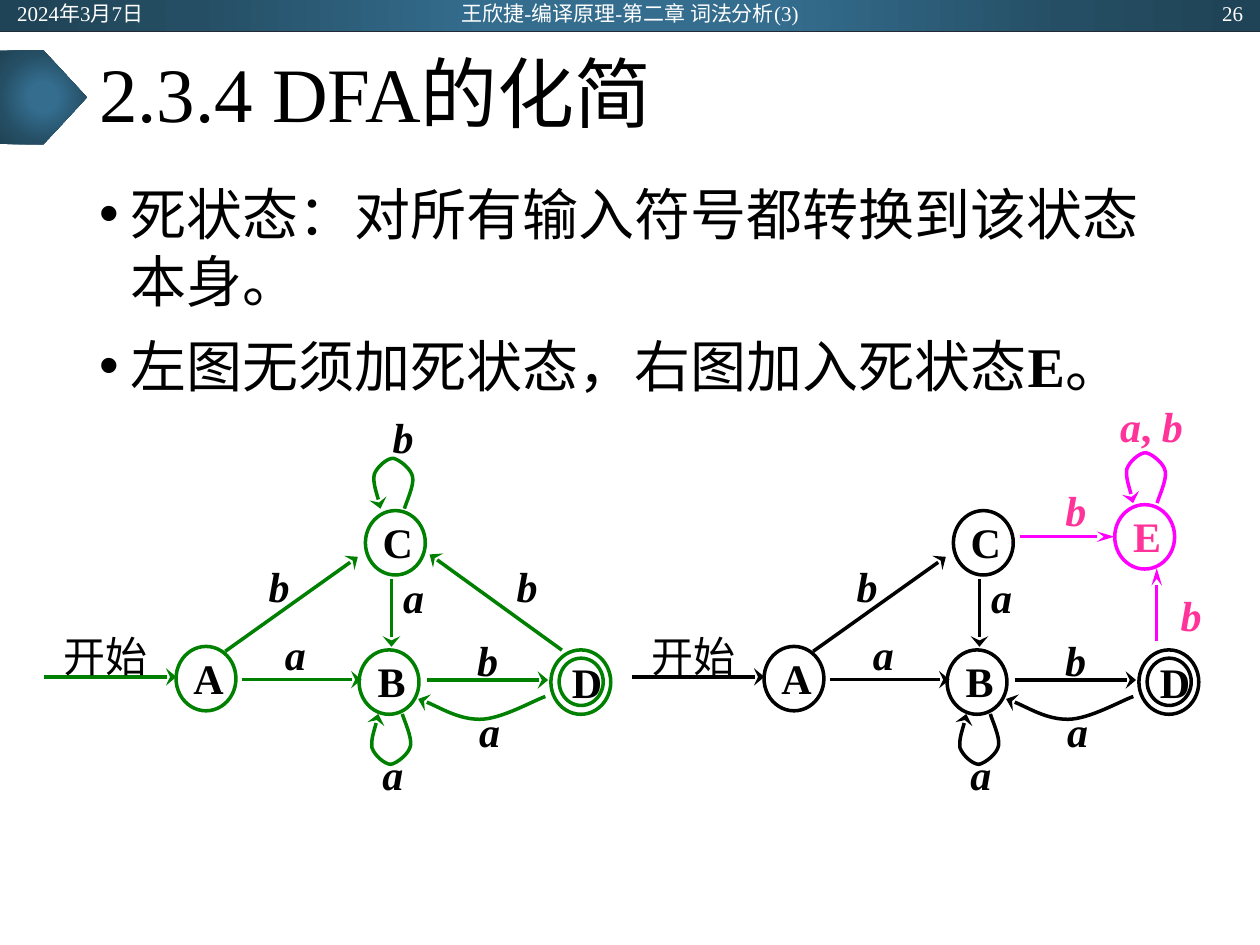
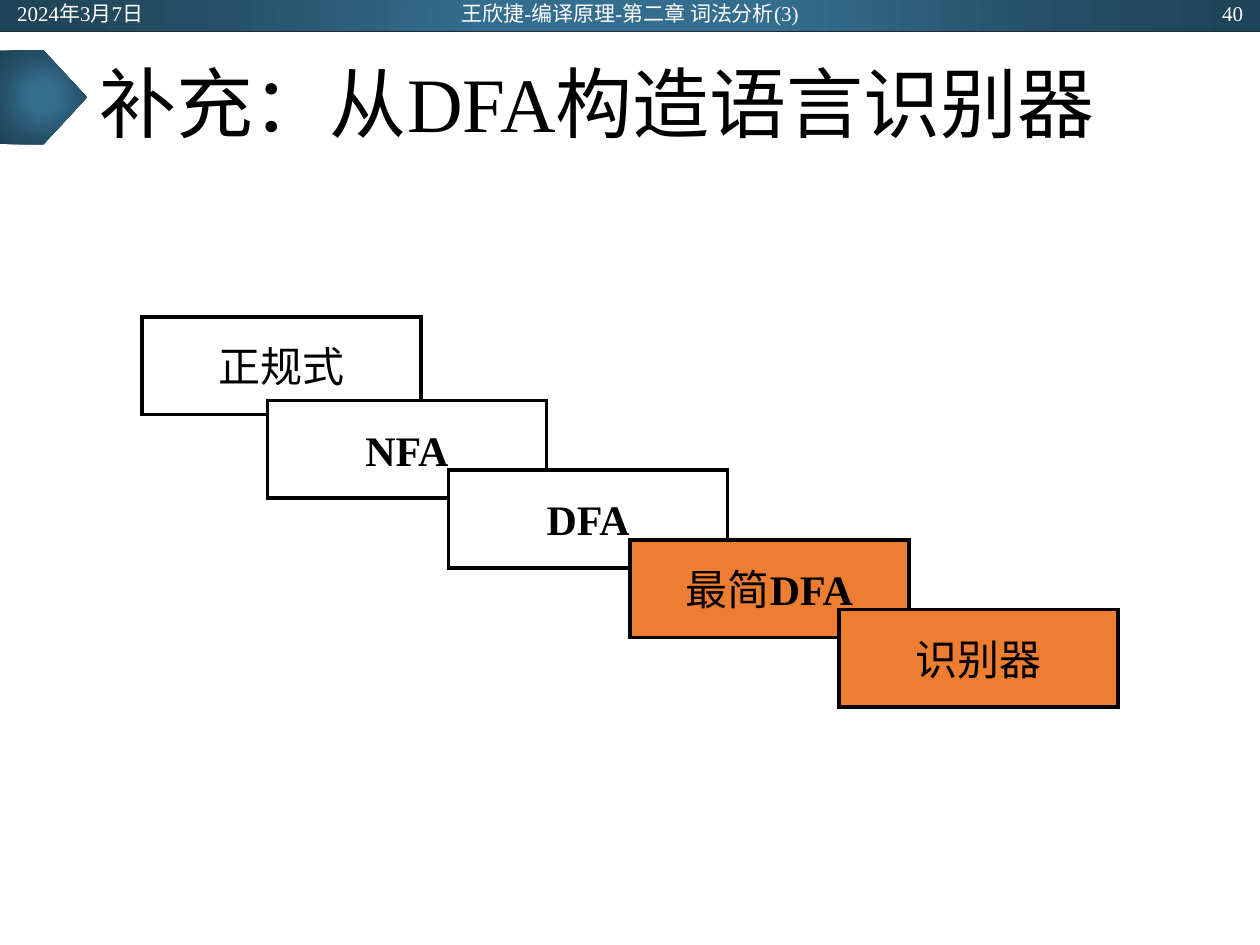
from lxml import etree
from pptx import Presentation
from pptx.dml.color import RGBColor
from pptx.enum.shapes import MSO_CONNECTOR, MSO_SHAPE
from pptx.enum.text import MSO_ANCHOR, PP_ALIGN
from pptx.oxml import parse_xml
from pptx.oxml.ns import nsdecls, qn
from pptx.util import Pt

STRAIGHT = MSO_CONNECTOR.STRAIGHT
RECT, OVAL, PENTAGON = MSO_SHAPE.RECTANGLE, MSO_SHAPE.OVAL, MSO_SHAPE.PENTAGON
TOP, MIDDLE = MSO_ANCHOR.TOP, MSO_ANCHOR.MIDDLE
LEFT, CENTER, RIGHT = PP_ALIGN.LEFT, PP_ALIGN.CENTER, PP_ALIGN.RIGHT

BLACK = RGBColor(0x00, 0x00, 0x00)
WHITE = RGBColor(0xFF, 0xFF, 0xFF)
GREEN = RGBColor(0x00, 0x80, 0x00)
MAGENTA = RGBColor(0xFF, 0x00, 0xFF)
PINK = RGBColor(0xFF, 0x33, 0x99)
ORANGE = RGBColor(0xED, 0x7D, 0x31)
NAVY = RGBColor(0x22, 0x2A, 0x35)
BAND_STOPS = [(0, RGBColor(0x34, 0x6D, 0x8E)), (23, RGBColor(0x34, 0x6D, 0x8E)),
              (69, RGBColor(0x25, 0x4E, 0x64)), (97, RGBColor(0x20, 0x44, 0x57))]

FONT = "Times New Roman"
WIDTH, HEIGHT = 720, 540
DEFAULT_INSETS = (7.2, 3.6, 7.2, 3.6)
LABEL_INSETS = (4.3, 2.2, 4.3, 2.2)
NODE_INSETS = (4.3, 2.2, 1.4, 3.6)
INNER_INSETS = (3.6, 0, 0.7, 0)

# Arrowheads: (width, length)
WIDE_HEAD, LONG_HEAD = ("lg", "med"), ("med", "lg")

# Curves: control points relative to their start, three for each Bézier piece
LOOP = [(0.7, -2.9), (5.6, -13.2), (4.7, -18), (4, -22.7), (-2.9, -28.1), (-6.5, -28.8),
        (-10, -28.8), (-15.8, -23.8), (-17.3, -19.4), (-18, -14.4), (-14.4, -4.3), (-13.7, 0)]
LOOP_BELOW = [(x, -y) for x, y in LOOP]
RETURN_ARC = [(-6.5, 2.2), (-25.2, 13), (-37.4, 13), (-49.7, 13), (-64.8, 3.6), (-72.7, 1.4)]

# Automaton parts shared by both diagrams, relative to the diagram's corner
NODES = [("A", 75.4, 139), ("B", 180, 141), ("C", 183.6, 61.4), ("", 289.6, 141)]
EDGES = [(0, 156.4, 75.6, 156.4), (113, 158, 181.4, 158), (218.9, 158.2, 288, 158.2),
         (103.5, 141.8, 179.3, 87.8), (198.5, 100.4, 198.5, 139.2)]
EDGE_LABELS = [("a", 129.8, 128.2), ("a", 185.4, 197), ("b", 239.6, 131.8),
               ("b", 120.4, 89.3), ("a", 240.7, 172.3), ("a", 197.3, 95.8)]


def write_text(box, paragraphs, size, color=BLACK, align=LEFT, anchor=MIDDLE,
               insets=DEFAULT_INSETS, wrap=True, spacing=None, bullet=False):
    """Each paragraph is a list of (text, bold, italic) spans."""
    frame = box.text_frame
    frame.word_wrap, frame.vertical_anchor = wrap, anchor
    frame.margin_left, frame.margin_top, frame.margin_right, frame.margin_bottom = map(Pt, insets)
    for index, spans in enumerate(paragraphs):
        para = frame.paragraphs[0] if index == 0 else frame.add_paragraph()
        para.alignment = align
        if spacing:
            para.line_spacing = spacing
        if bullet:
            if index:
                para.space_before = Pt(10)
            properties = para._p.get_or_add_pPr()
            properties.set("marL", str(Pt(18)))
            properties.set("indent", str(-Pt(18)))
            etree.SubElement(properties, qn("a:buFont")).set("typeface", "Arial")
            etree.SubElement(properties, qn("a:buChar")).set("char", "•")
        para.font.name, para.font.size = FONT, Pt(size)
        para.font.color.rgb = color
        for text, bold, italic in spans:
            span = para.add_run()
            span.text = text
            if bold:
                span.font.bold = True
            if italic:
                span.font.italic = True


def add_text(page, left, top, width, height, paragraphs, size, **style):
    box = page.shapes.add_textbox(Pt(left), Pt(top), Pt(width), Pt(height))
    write_text(box, paragraphs, size, **style)


def add_shape(page, kind, left, top, width, height, fill=None, line=None):
    shape = page.shapes.add_shape(kind, Pt(left), Pt(top), Pt(width), Pt(height))
    shape.shadow.inherit = False
    if fill is None:
        shape.fill.background()
    else:
        shape.fill.solid()
        shape.fill.fore_color.rgb = fill
    if line is None:
        shape.line.fill.background()
    else:
        shape.line.color.rgb, shape.line.width = line, Pt(2)
        outline = shape.element.spPr.find(qn("a:ln"))
        etree.SubElement(outline, qn("a:miter")).set("lim", "800000")
    return shape


def add_line(page, x1, y1, x2, y2, color, width=2):
    line = page.shapes.add_connector(STRAIGHT, Pt(x1), Pt(y1), Pt(x2), Pt(y2))
    line.line.color.rgb, line.line.width = color, Pt(width)
    etree.SubElement(line.element.spPr, qn("a:effectLst"))
    return line


def add_arrowhead(shape, head=WIDE_HEAD):
    outline = shape.element.spPr.find(qn("a:ln"))
    tail = etree.SubElement(outline, qn("a:tailEnd"))
    tail.set("type", "stealth")
    tail.set("w", head[0])
    tail.set("len", head[1])


def add_curve(page, x, y, controls, color):
    """Arrow along the Bézier pieces that start at (x, y)."""
    builder = page.shapes.build_freeform(Pt(x), Pt(y))
    builder.add_line_segments([(Pt(x + dx), Pt(y + dy)) for dx, dy in controls], close=False)
    curve = builder.convert_to_shape()
    # Join every three points into one Bézier piece
    outline = curve.element.spPr.find(".//" + qn("a:path"))
    segments = outline.findall(qn("a:lnTo"))
    for first in range(0, len(segments), 3):
        piece = etree.SubElement(outline, qn("a:cubicBezTo"))
        for segment in segments[first:first + 3]:
            piece.append(segment[0])
            outline.remove(segment)
    curve.shadow.inherit = False
    curve.fill.background()
    curve.line.color.rgb, curve.line.width = color, Pt(2)
    add_arrowhead(curve)


def add_band(page, kind, left, top, width, height):
    """Shape filled with the round blue gradient."""
    band = add_shape(page, kind, left, top, width, height)
    stops = "".join(f'<a:gs pos="{position * 1000}"><a:srgbClr val="{color}"/></a:gs>'
                    for position, color in BAND_STOPS)
    gradient = parse_xml(
        f'<a:gradFill {nsdecls("a")} rotWithShape="1"><a:gsLst>{stops}</a:gsLst>'
        '<a:path path="circle"><a:fillToRect l="50000" t="50000" r="50000" b="50000"/></a:path>'
        '</a:gradFill>')
    properties = band.element.spPr
    properties.replace(properties.find(qn("a:noFill")), gradient)


def add_page(deck, title, number, spacing):
    """Blank page with header band, marker and title."""
    page = deck.slides.add_slide(deck.slide_layouts[6])
    add_band(page, RECT, 0, 0, WIDTH, 18)
    add_line(page, 0, 18, WIDTH, 18, NAVY, 0.5)
    add_band(page, PENTAGON, 0, 28.8, 49.7, 53.7)
    add_text(page, 49.5, 18, 620.6, 75, [[(title, False, False)]], 44, spacing=spacing)
    header = [(2.7, 162, "2024年3月7日", LEFT),
              (238.3, 243.4, "王欣捷-编译原理-第二章 词法分析(3)", CENTER),
              (555.4, 162, str(number), RIGHT)]
    for left, width, text, align in header:
        add_text(page, left, 0.5, width, 14.4, [[(text, False, False)]], 12,
                 color=WHITE, align=align)
    return page


def add_node(page, left, top, name, color, text_color=BLACK):
    node = add_shape(page, OVAL, left, top, 34.2, 36.8, line=color)
    if name:
        write_text(node, [[(name, True, False)]], 24, color=text_color, align=CENTER,
                   insets=NODE_INSETS)


def add_edge(page, left, top, edge, color, head=WIDE_HEAD):
    x1, y1, x2, y2 = edge
    add_arrowhead(add_line(page, left + x1, top + y1, left + x2, top + y2, color), head)


def add_label(page, left, top, spans, color=BLACK, width=27.7, height=29.5):
    add_text(page, left, top, width, height, [spans], 24, color=color, align=CENTER,
             insets=LABEL_INSETS)


def add_automaton(page, left, top, color):
    """States A to D with the transitions both diagrams share."""
    for name, x, y in NODES:
        add_node(page, left + x, top + y, name, color)
    inner = add_shape(page, OVAL, left + 294.3, top + 145.7, 25.2, 27, line=color)
    write_text(inner, [[("D", True, False)]], 24, align=CENTER, insets=INNER_INSETS)
    for edge in EDGES:
        add_edge(page, left, top, edge, color)
    add_curve(page, left + 204.7, top + 177.6, LOOP_BELOW, color)
    add_curve(page, left + 286.4, top + 167.6, RETURN_ARC, color)
    add_label(page, left + 5.8, top + 127, [("开始", False, False)], width=59, height=34.6)
    for text, x, y in EDGE_LABELS:
        add_label(page, left + x, top + y, [(text, True, True)])


def add_complete_automaton(page, left, top):
    """Every state has all its transitions."""
    add_automaton(page, left, top, GREEN)
    add_edge(page, left, top, (295.9, 141.1, 220.3, 86.4), GREEN)
    add_curve(page, left + 205.9, top + 60.3, LOOP, GREEN)
    for x, y in [(191.3, 4.3), (262.1, 89.3)]:
        add_label(page, left + x, top + y, [("b", True, True)])


def add_dead_state_automaton(page, left, top):
    """Missing transitions lead to the dead state E."""
    add_automaton(page, left, top, BLACK)
    add_node(page, left + 275.8, top + 58, "E", MAGENTA, PINK)
    for edge in [(221.8, 76.3, 275.6, 76.3), (299.8, 136.1, 299.8, 94.3)]:
        add_edge(page, left, top, edge, MAGENTA, LONG_HEAD)
    add_curve(page, left + 300, top + 57.1, LOOP, MAGENTA)
    for x, y in [(305.6, 106.2), (239.8, 46.1)]:
        add_label(page, left + x, top + y, [("b", True, True)], PINK)
    add_label(page, left + 269.8, top - 1.8,
              [("a", True, True), (", ", True, False), ("b", True, True)], PINK, width=54)


def add_staircase(page, left, top):
    """Overlapping steps from regular expression to recognizer."""
    steps = [(0, 0, None, [("正规式", False, False)]),
             (71.6, 47.7, WHITE, [("NFA", True, False)]),
             (175.2, 87.5, WHITE, [("DFA", True, False)]),
             (278.8, 127.3, ORANGE, [("最简", False, False), ("DFA", True, False)]),
             (398.3, 167.1, ORANGE, [("识别器", False, False)])]
    for x, y, fill, spans in steps:
        card = add_shape(page, RECT, left + x, top + y, 159.4, 55.8, fill, BLACK)
        write_text(card, [spans], 24, align=CENTER, insets=LABEL_INSETS, wrap=False)


def main():
    deck = Presentation()
    deck.slide_width, deck.slide_height = Pt(WIDTH), Pt(HEIGHT)

    # Dead states
    page = add_page(deck, "2.3.4 DFA的化简", 26, 0.9)
    points = [[("死状态：对所有输入符号都转换到该状态本身。", False, False)],
              [("左图无须加死状态，右图加入死状态", False, False), ("E", True, False),
               ("。", False, False)]]
    add_text(page, 49.5, 98.9, 620.6, 387.4, points, 32, anchor=TOP, bullet=True)
    add_complete_automaton(page, 25.2, 230.4)
    add_dead_state_automaton(page, 361.2, 230.4)

    # From expression to recognizer
    page = add_page(deck, "补充：从DFA构造语言识别器", 40, 1.1)
    add_staircase(page, 81.2, 181.2)

    deck.save("out.pptx")


if __name__ == "__main__":
    main()
